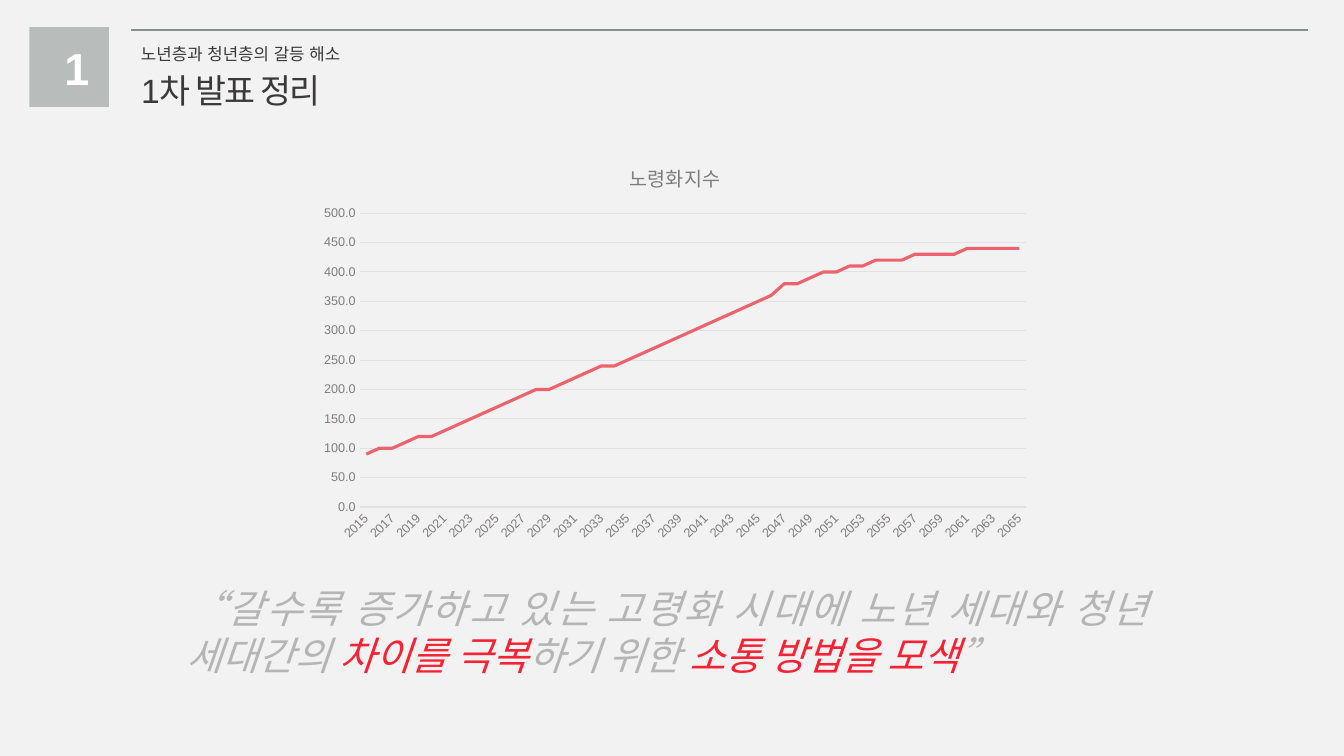
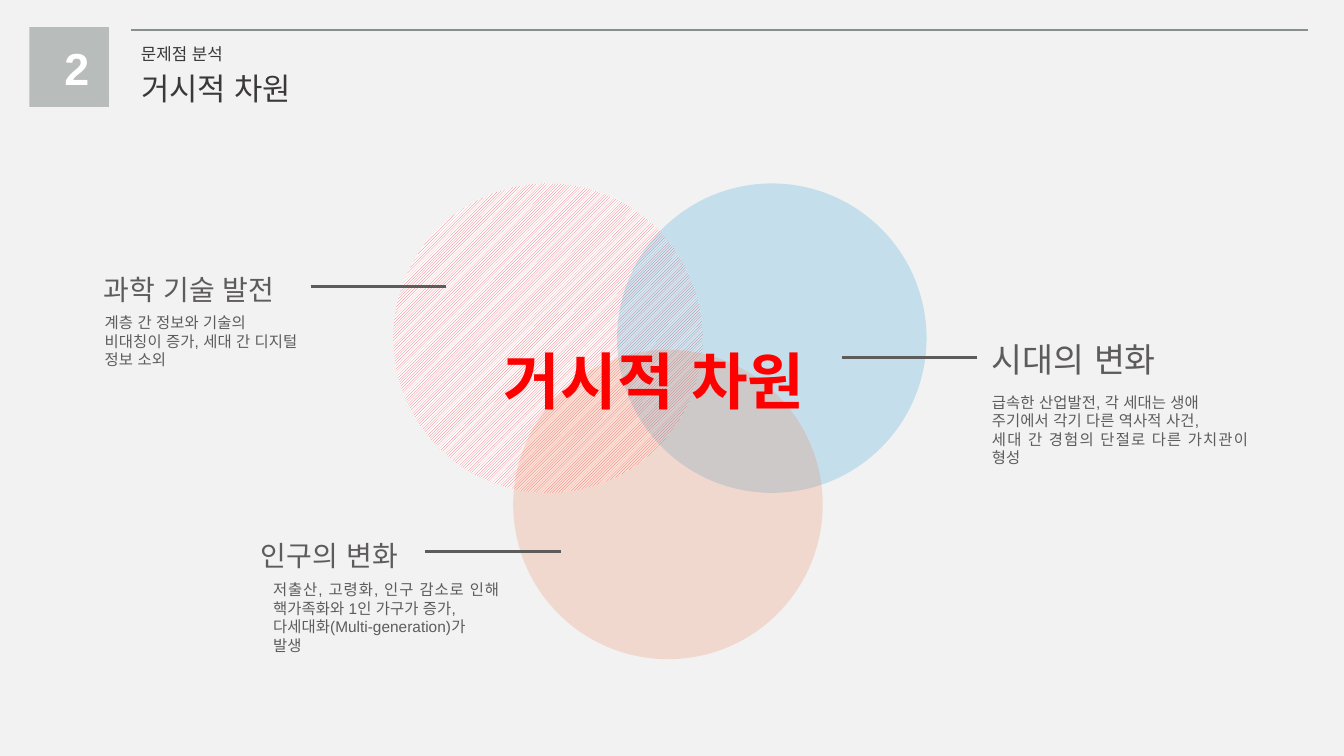
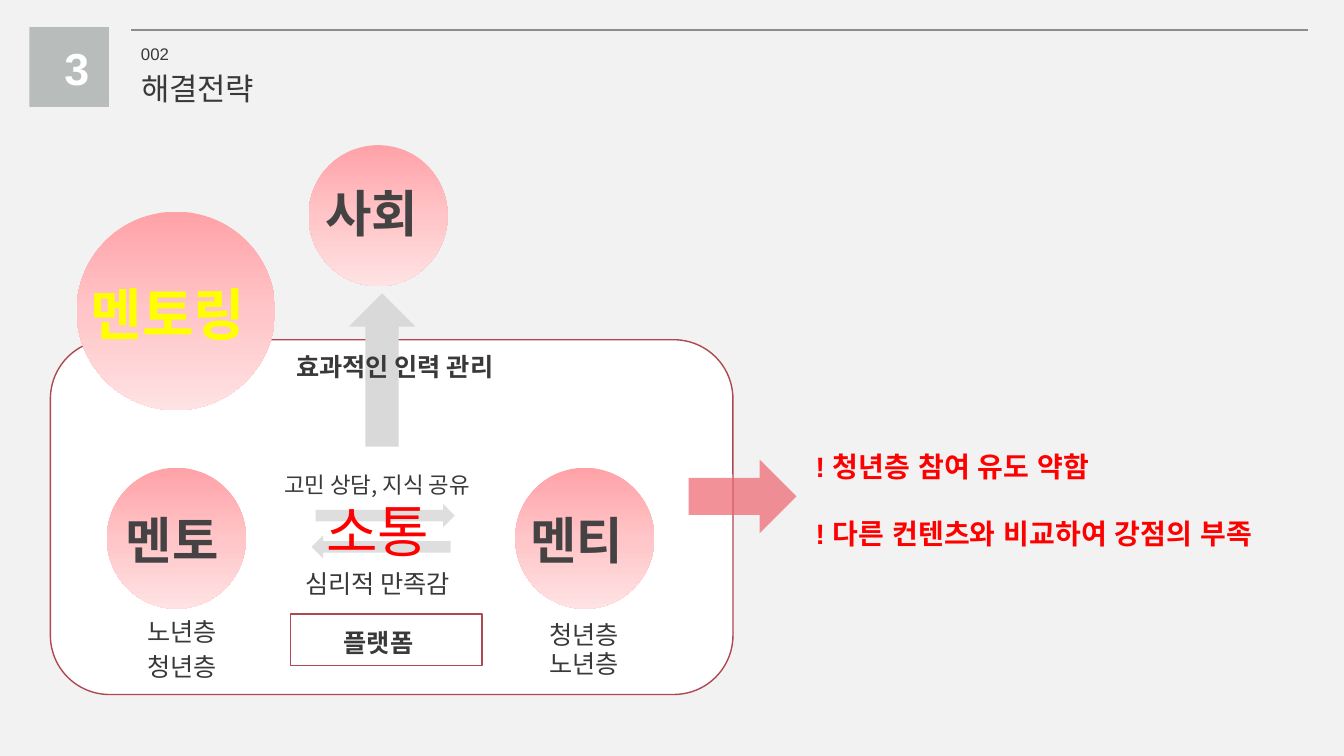
import copy

import pptx
import pptx.chart.data
import pptx.dml.color
import pptx.enum.chart
import pptx.enum.dml
import pptx.enum.shapes
import pptx.enum.text
import pptx.oxml.ns
import pptx.oxml.xmlchemy
import pptx.util

Inches, Pt = pptx.util.Inches, pptx.util.Pt
qn = pptx.oxml.ns.qn
SHAPE = pptx.enum.shapes.MSO_SHAPE
ALIGN = pptx.enum.text.PP_ALIGN

ARIAL, NOTO = "Arial", "Noto Sans CJK KR"
BACKGROUND, WHITE, BADGE, RULE = "F2F2F2", "FFFFFF", "B8BCBB", "898F8D"
INK, GRAY, AXIS, GRID = "3A3838", "5D5B5B", "817C7C", "E2E1E1"
PALE, DARK, CORAL, FRAME = "B5B5B5", "444242", "ED636D", "AF4951"
RED, QUOTE_RED, YELLOW = "FF0000", "F72334", "FFFF00"
GRADIENT = [(0, "FFA2A7"), (0.5, "FFC5C8"), (1, "FFE2E3")]

# Slide 1
AGING_TITLE = "노령화지수"
FIRST_YEAR = 2015
AGING_INDEX = [
    90, 100, 100, 110, 120, 120, 130, 140, 150, 160, 170, 180, 190, 200, 200, 210, 220,
    230, 240, 240, 250, 260, 270, 280, 290, 300, 310, 320, 330, 340, 350, 360, 380, 380,
    390, 400, 400, 410, 410, 420, 420, 420, 430, 430, 430, 430, 440, 440, 440, 440, 440,
]
QUOTE = [
    ("“갈수록 증가하고 있는 고령화 시대에 노년 세대와 청년 세대간의 ", PALE),
    ("차이를 극복", QUOTE_RED),
    ("하기 위한 ", PALE),
    ("소통 방법을 모색", QUOTE_RED),
    ("”", PALE),
]

# Slide 2: heading, its box and size, body box, body lines, start of the pointer
CAUSES = [
    ("시대의 변화", (9.74, 3.31, 1.98, 0.5), 24, (9.74, 3.85, 2.74, 0.84),
     ["급속한 산업발전, 각 세대는 생애", "주기에서 각기 다른 역사적 사건,",
      "세대 간 경험의 단절로 다른 가치관이 형성"], (8.35, 3.55)),
    ("과학 기술 발전", (0.93, 2.65, 2.04, 0.44), 20, (0.94, 3.06, 2.32, 0.66),
     ["계층 간 정보와 기술의", "비대칭이 증가, 세대 간 디지털", "정보 소외"], (3.08, 2.84)),
    ("인구의 변화", (2.49, 5.29, 1.68, 0.44), 20, (2.61, 5.71, 2.44, 0.84),
     ["저출산, 고령화, 인구 감소로 인해 핵가족화와 1인 가구가 증가,",
      "다세대화(Multi-generation)가", "발생"], (4.22, 5.47)),
]
POINTER = 1.34
VENN_SIZE = 3.07

# Slide 3: circle box, label, label box, size, colour, font
CIRCLES = [
    ((0.76, 2.1, 1.97, 1.97), "멘토링", (0.8, 2.72, 3.62, 0.77), 40, YELLOW, ARIAL),
    ((1.06, 4.64, 1.38, 1.4), "멘토", (1.15, 5, 3.62, 0.71), 36, DARK, ARIAL),
    ((5.11, 4.64, 1.38, 1.4), "멘티", (5.16, 5, 3.62, 0.71), 36, DARK, ARIAL),
    ((3.06, 1.44, 1.38, 1.4), "사회", (3.13, 1.76, 3.62, 0.71), 36, DARK, NOTO),
]
# text, box, size, font, colour, bold
LABELS = [
    ("고민 상담, 지식 공유", (2.72, 4.62, 2.48, 0.37), 16, NOTO, INK, False),
    ("심리적 만족감", (2.93, 5.59, 2.48, 0.4), 18, NOTO, INK, False),
    ("노년층", (1.36, 6.07, 1.78, 0.34), 18, ARIAL, INK, False),
    ("청년층", (1.36, 6.41, 1.78, 0.34), 18, ARIAL, INK, False),
    ("청년층", (5.35, 6.09, 1.78, 0.34), 18, ARIAL, INK, False),
    ("노년층", (5.35, 6.38, 1.78, 0.34), 18, ARIAL, INK, False),
    ("플랫폼", (3.31, 6.17, 2.42, 0.4), 18, NOTO, INK, True),
    ("효과적인 인력 관리", (2.84, 3.44, 3.62, 0.4), 18, NOTO, INK, True),
    ("소통", (3.14, 4.88, 1.71, 0.77), 40, NOTO, RED, False),
]
WEAKNESSES = ["! 청년층 참여 유도 약함", "! 다른 컨텐츠와 비교하여 강점의 부족"]


def rgb(value):
    return pptx.dml.color.RGBColor.from_string(value)


def place(shape, at):
    shape.left, shape.top, shape.width, shape.height = map(Inches, at)


def style_font(font, size, color, name=ARIAL, bold=False, italic=False):
    font.size, font.name, font.bold, font.italic = Pt(size), name, bold, italic
    font.color.rgb = rgb(color)


def add_child(parent, tag, **attributes):
    child = parent.makeelement(qn(tag), attributes)
    parent.append(child)
    return child


def write(shape, paragraphs, size, color, name=ARIAL, bold=False, italic=False,
          align=ALIGN.LEFT, wrap=True, gap=0, spacing=None, outline=None):
    """Fill a shape with paragraphs, each a string or a list of (text, colour) runs."""
    tf = shape.text_frame
    tf.word_wrap = wrap
    tf.auto_size = pptx.enum.text.MSO_AUTO_SIZE.SHAPE_TO_FIT_TEXT
    tf.vertical_anchor = pptx.enum.text.MSO_ANCHOR.TOP
    for i, runs in enumerate(paragraphs):
        p = tf.paragraphs[0] if i == 0 else tf.add_paragraph()
        p.alignment = align
        p.space_before = Pt(gap if i else 0)
        for text, run_color in [(runs, color)] if isinstance(runs, str) else runs:
            r = p.add_run()
            r.text = text
            style_font(r.font, size, run_color, name, bold, italic)
            rPr = r._r.get_or_add_rPr()
            rPr.find(qn("a:latin")).addnext(rPr.makeelement(qn("a:ea"), {"typeface": name}))
            if spacing:
                rPr.set("spc", str(round(spacing * 100)))
            if outline:
                ln = rPr.makeelement(qn("a:ln"), {"w": str(Pt(1.75))})
                add_child(add_child(ln, "a:solidFill"), "a:srgbClr", val=outline)
                rPr.insert(0, ln)


def add_text(s, at, paragraphs, size, color, **options):
    box = s.shapes.add_textbox(*map(Inches, at))
    write(box, paragraphs, size, color, **options)


def add_shape(s, kind, at, fill=None, line=None, alpha=None):
    sp = s.shapes.add_shape(kind, *map(Inches, at))
    sp.shadow.inherit = False
    if fill:
        sp.fill.solid()
        sp.fill.fore_color.rgb = rgb(fill)
    if alpha:
        clr = sp._element.spPr.find(qn("a:solidFill"))[0]
        add_child(clr, "a:alpha", val=str(alpha * 1000))
    if line:
        sp.line.color.rgb = rgb(line)
        sp.line.width = Pt(1)
    else:
        sp.line.fill.background()
    return sp


def add_gradient_circle(s, at):
    fill = (sp := add_shape(s, SHAPE.OVAL, at)).fill
    fill.gradient()
    fill.gradient_angle = 270
    stops = sp._element.spPr.find(".//" + qn("a:gsLst"))
    stops.insert(1, copy.deepcopy(stops[0]))
    for stop, (position, color) in zip(fill.gradient_stops, GRADIENT):
        stop.position = position
        stop.color.rgb = rgb(color)


def add_rule(s, x, y, length, color, width):
    line = s.shapes.add_connector(pptx.enum.shapes.MSO_CONNECTOR.STRAIGHT,
                                  Inches(x), Inches(y), Inches(x + length), Inches(y))
    line.line.color.rgb = rgb(color)
    line.line.width = Pt(width)
    add_child(line._element.spPr, "a:effectLst")


def new_slide(prs, number, section, title, title_width, layout=5, size=22, spacing=None):
    """Add a slide with the shared rule, number badge, section name and title."""
    s = prs.slides.add_slide(prs.slide_layouts[layout])
    add_rule(s, 1.3, 0.3, 11.67, RULE, 1.5)
    add_shape(s, SHAPE.RECTANGLE, (0.29, 0.27, 0.79, 0.79), BADGE)
    add_text(s, (0.54, 0.35, 0.28, 0.64), [str(number)], 32, WHITE, bold=True,
             align=ALIGN.CENTER)
    add_text(s, (1.3, 0.38, 2.36, 0.3), [section], 12, INK)
    place(s.shapes.title, (1.3, 0.64, title_width, 0.47))
    write(s.shapes.title, [title], size, INK, wrap=False, spacing=spacing)
    return s


def add_aging_chart(s):
    data = pptx.chart.data.CategoryChartData(number_format="#,##0.0")
    data.categories = [str(FIRST_YEAR + i) for i in range(len(AGING_INDEX))]
    data.add_series(AGING_TITLE, AGING_INDEX)
    chart = s.shapes.add_chart(pptx.enum.chart.XL_CHART_TYPE.LINE,
                               *map(Inches, (3.07, 1.43, 7.25, 4.02)), data).chart
    style_font(chart.font, 10, INK)
    chart.has_legend = False
    chart.has_title = True
    p = chart.chart_title.text_frame.paragraphs[0]
    r = p.add_run()
    r.text = AGING_TITLE
    style_font(r.font, 14, AXIS)

    plot = chart.plots[0]
    plot.vary_by_categories = False
    series = plot.series[0]
    series.smooth = False
    series.marker.style = pptx.enum.chart.XL_MARKER_STYLE.NONE
    series.format.line.color.rgb = rgb(CORAL)
    series.format.line.width = Pt(2.25)

    years, values = chart.category_axis, chart.value_axis
    for axis in (years, values):
        axis.major_tick_mark = axis.minor_tick_mark = pptx.enum.chart.XL_TICK_MARK.NONE
        style_font(axis.tick_labels.font, 9, AXIS)
    values.minimum_scale, values.maximum_scale, values.major_unit = 0, 500, 50
    values.tick_labels.number_format = "#,##0.0"
    values.tick_labels.number_format_is_linked = False
    values.format.line.fill.background()
    for line in (years.format.line, values.major_gridlines.format.line):
        line.color.rgb = rgb(GRID)
        line.width = Pt(0.75)
    years._element.find(qn("c:txPr")).find(qn("a:bodyPr")).set("rot", "-2700000")


def build_summary(prs):
    s = new_slide(prs, 1, "노년층과 청년층의 갈등 해소", "1차 발표 정리", 2.09, size=24,
                  spacing=-1.5)
    add_aging_chart(s)
    add_text(s, (1.75, 5.75, 9.74, 1.04), [QUOTE], 28, PALE, name=NOTO, italic=True,
             align=ALIGN.JUSTIFY)


def build_macro_view(prs):
    s = new_slide(prs, 2, "문제점 분석", "거시적 차원", 1.83)
    size = (VENN_SIZE, VENN_SIZE)
    fill = add_shape(s, SHAPE.OVAL, (3.9, 1.82, *size)).fill
    fill.patterned()
    fill.pattern = pptx.enum.dml.MSO_PATTERN.DARK_UPWARD_DIAGONAL
    fill.fore_color.rgb = rgb(CORAL)
    fill.back_color.rgb = rgb(WHITE)
    add_shape(s, SHAPE.OVAL, (6.12, 1.82, *size), "1097D0", alpha=20)
    add_shape(s, SHAPE.OVAL, (5.09, 3.47, *size), "F17442", alpha=20)
    for heading, heading_at, heading_size, body_at, body, (x, y) in CAUSES:
        add_text(s, heading_at, [heading], heading_size, GRAY, wrap=False)
        add_text(s, body_at, body, 11, GRAY, align=ALIGN.JUSTIFY)
        add_rule(s, x, y, POINTER, GRAY, 2.25)
    add_text(s, (4.9, 3.35, 3.46, 0.84), ["거시적 차원"], 44, RED, bold=True, wrap=False)


def build_strategy(prs):
    s = new_slide(prs, 3, "002", "해결전략", 1.52, layout=1)
    add_shape(s, SHAPE.ROUNDED_RECTANGLE, (0.5, 3.37, 6.77, 3.52), WHITE, FRAME)
    add_shape(s, SHAPE.RIGHT_ARROW, (3.13, 5, 1.38, 0.23), "DFDEDE")
    add_shape(s, SHAPE.RIGHT_ARROW, (3.09, 5.31, 1.38, 0.23), "DFDEDE").rotation = 180
    add_shape(s, SHAPE.RECTANGLE, (2.88, 6.09, 1.9, 0.51), WHITE, FRAME)
    add_shape(s, SHAPE.UP_ARROW, (3.46, 2.91, 0.66, 1.52), "D9D9D9")
    for circle_at, label, label_at, size, color, name in CIRCLES:
        add_gradient_circle(s, circle_at)
        add_text(s, label_at, [label], size, color, name=name, bold=True,
                 outline=BACKGROUND)
    for label, at, size, name, color, bold in LABELS:
        add_text(s, at, [label], size, color, name=name, bold=bold)
    add_shape(s, SHAPE.RIGHT_ARROW, (6.83, 4.56, 1.07, 0.73), CORAL, alpha=70)

    body = s.placeholders[1]
    place(body, (7.99, 4.41, 4.95, 1.11))
    write(body, WEAKNESSES, 20, RED, bold=True, gap=24)
    for p in body.text_frame.paragraphs:
        pPr = p._p.get_or_add_pPr()
        pPr.set("marL", "0")
        pPr.set("indent", "0")
        add_child(pPr, "a:buNone")


def main():
    prs = pptx.Presentation()
    prs.slide_width, prs.slide_height = Inches(13.33), Inches(7.5)
    fill = prs.slide_master.background.fill
    fill.solid()
    fill.fore_color.rgb = rgb(BACKGROUND)
    build_summary(prs)
    build_macro_view(prs)
    build_strategy(prs)
    prs.save("out.pptx")


if __name__ == "__main__":
    main()
